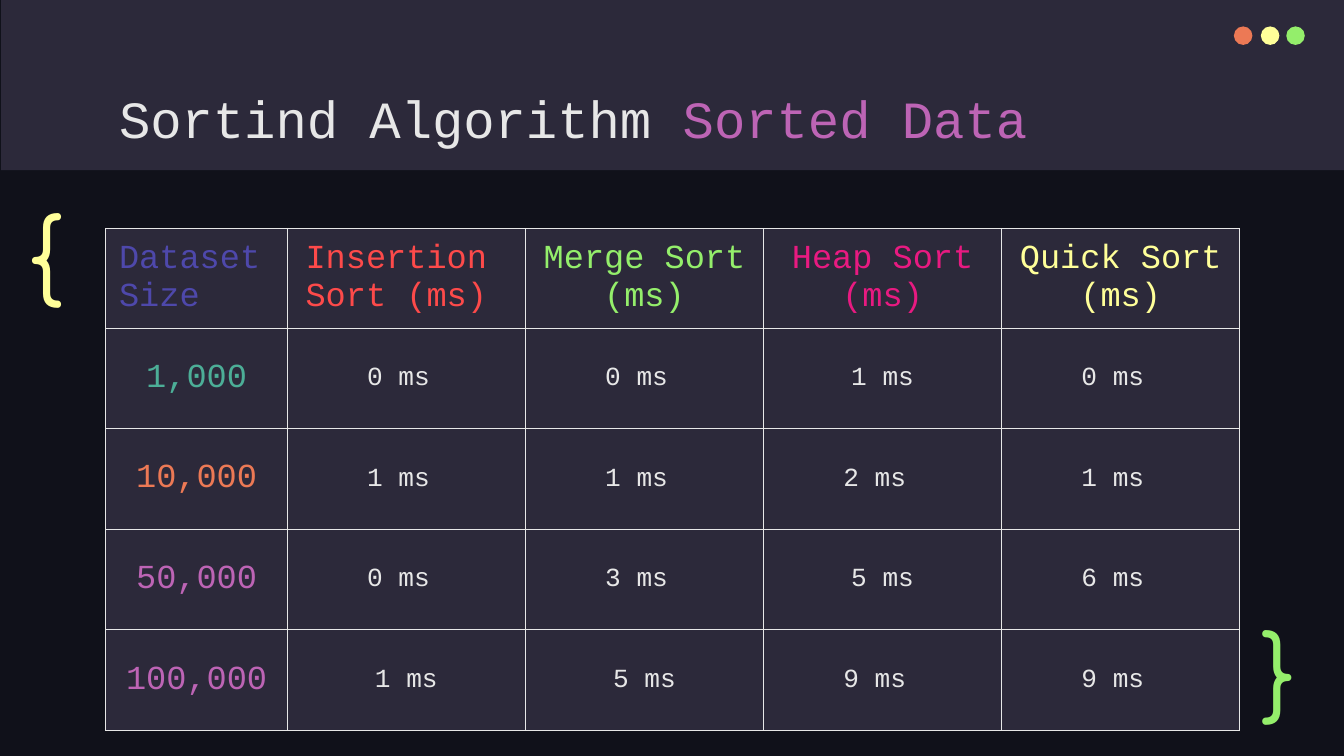
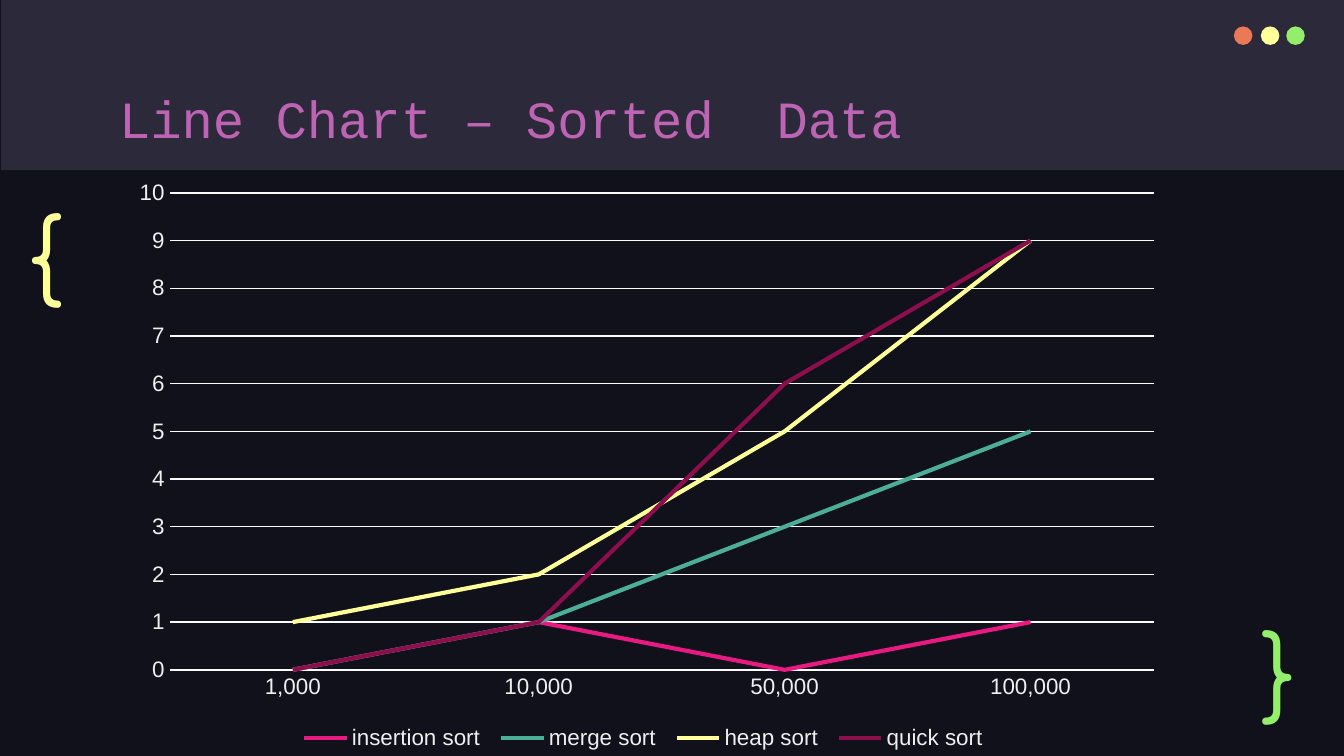
import pptx
import pptx.chart.data
import pptx.dml.color
import pptx.enum.chart
import pptx.enum.shapes
import pptx.enum.text
import pptx.util
from lxml import etree
from pptx.util import Cm, Pt

BACKGROUND, PANEL, LIGHT, AXIS_TEXT, GRID = "10111A", "2C293A", "E7E7E7", "EFEFEF", "FBFBFB"
ORANGE, YELLOW, GREEN, PURPLE = "EC7955", "FFFF99", "94EE6B", "BD64B5"
TEAL, PINK, RED, INDIGO, WINE = "4CAE97", "E81A81", "FD4A4A", "4E48AB", "8D0E4D"
MONO, BRACE_FONT, CHART_FONT = "Courier New", "Comfortaa", "Arial"
ALIGN = pptx.enum.text.PP_ALIGN

DOTS = [(23.32, ORANGE), (23.83, YELLOW), (24.31, GREEN)]
BRACES = [("{", YELLOW, (0.28, 3.4, 1.96, 2.41)), ("}", GREEN, (23.6, 11.28, 1.45, 2.11))]

TABLE_TITLE = [("Sortind Algorithm ", LIGHT), ("Sorted Data", PURPLE)]
HEADERS = [
    (["Dataset", "Size"], INDIGO),
    (["Insertion ", "Sort (ms) "], RED),
    (["Merge Sort ", "(ms)"], GREEN),
    (["Heap Sort", "(ms)"], PINK),
    (["Quick Sort", "(ms)"], YELLOW),
]
TIMINGS = [
    ("1,000", TEAL, ["0 ms ", "0 ms ", "1 ms", "0 ms "]),
    ("10,000", ORANGE, ["1 ms ", "1 ms ", "2 ms ", "1 ms "]),
    ("50,000", PURPLE, ["0 ms ", "3 ms ", "5 ms", "6 ms "]),
    ("100,000", PURPLE, ["1 ms", "5 ms", "9 ms ", "9 ms "]),
]
COLUMN_WIDTHS = [3.43] + [4.5] * 4
ROW_HEIGHTS = [1.83] + [1.9] * 4

CHART_TITLE = [("Line Chart – Sorted  Data", PURPLE)]
SIZES = [1000, 10000, 50000, 100000]
SERIES = [
    ("insertion sort ", PINK, [0, 1, 0, 1]),
    ("merge sort ", TEAL, [0, 1, 3, 5]),
    ("heap sort ", YELLOW, [1, 2, 5, 9]),
    ("quick sort ", WINE, [0, 1, 6, 9]),
]


def rgb(color):
    return pptx.dml.color.RGBColor.from_string(color)


def paint(fill, color):
    fill.solid()
    fill.fore_color.rgb = rgb(color)


def style_font(font, name, size, color):
    font.name, font.size = name, Pt(size)
    font.color.rgb = rgb(color)


def add_block(s, shape_type, box, color):
    sp = s.shapes.add_shape(shape_type, *map(Cm, box))
    sp.shadow.inherit = False
    paint(sp.fill, color)
    sp.line.fill.background()


def add_text(s, box, runs, font, size):
    tf = s.shapes.add_textbox(*map(Cm, box)).text_frame
    tf.word_wrap = True
    tf.margin_left = tf.margin_right = tf.margin_top = tf.margin_bottom = Cm(0.25)
    for text, color in runs:
        r = tf.paragraphs[0].add_run()
        r.text = text
        style_font(r.font, font, size, color)
    return tf


def add_slide(prs, title):
    """Add a slide with the header band, window dots, title and braces."""
    s = prs.slides.add_slide(prs.slide_layouts[6])
    shapes = pptx.enum.shapes.MSO_SHAPE
    paint(s.background.fill, BACKGROUND)
    add_block(s, shapes.RECTANGLE, (0.02, 0, 25.4, 3.22), PANEL)
    for left, color in DOTS:
        add_block(s, shapes.OVAL, (left, 0.5, 0.35, 0.35), color)
    add_text(s, (2, 1.38, 21.42, 1.6), title, MONO, 28)
    for text, color, box in BRACES:
        add_text(s, box, [(text, color)], BRACE_FONT, 50)
    return s


def add_borders(cell):
    props = cell._tc.get_or_add_tcPr()
    for position, side in enumerate(("lnL", "lnR", "lnT", "lnB")):
        line = etree.Element(pptx.oxml.ns.qn(f"a:{side}"), w=str(Pt(0.75)))
        fill = etree.SubElement(line, pptx.oxml.ns.qn("a:solidFill"))
        etree.SubElement(fill, pptx.oxml.ns.qn("a:srgbClr"), val=LIGHT)
        props.insert(position, line)


def fill_cell(cell, lines, size, color, align=ALIGN.CENTER):
    paint(cell.fill, PANEL)
    add_borders(cell)
    cell.vertical_anchor = pptx.enum.text.MSO_ANCHOR.MIDDLE
    cell.margin_left = cell.margin_right = Cm(0.25)
    cell.margin_top = cell.margin_bottom = Cm(0.18)
    cell.text = "\n".join(lines)
    for p in cell.text_frame.paragraphs:
        p.alignment = align
        style_font(p.font, MONO, size, color)


def add_timing_table(s):
    table = s.shapes.add_table(
        len(ROW_HEIGHTS), len(COLUMN_WIDTHS), Cm(2), Cm(4.32),
        Cm(sum(COLUMN_WIDTHS)), Cm(sum(ROW_HEIGHTS))).table
    for column, width in zip(table.columns, COLUMN_WIDTHS):
        column.width = Cm(width)
    for row, height in zip(table.rows, ROW_HEIGHTS):
        row.height = Cm(height)
    for c, (lines, color) in enumerate(HEADERS):
        fill_cell(table.cell(0, c), lines, 18, color, ALIGN.CENTER if c else ALIGN.LEFT)
    for r, (size, color, times) in enumerate(TIMINGS, 1):
        fill_cell(table.cell(r, 0), [size], 18, color)
        for c, time in enumerate(times, 1):
            fill_cell(table.cell(r, c), [time], 14, LIGHT)


def add_timing_chart(s):
    kinds = pptx.enum.chart
    data = pptx.chart.data.CategoryChartData()
    data.categories = SIZES
    data.categories.number_format = "#,##0"
    for name, _, values in SERIES:
        data.add_series(name, values)
    chart = s.shapes.add_chart(
        kinds.XL_CHART_TYPE.LINE, Cm(2.24), Cm(3.2), Cm(19.96), Cm(11.07), data).chart
    style_font(chart.font, CHART_FONT, 10, LIGHT)
    chart.has_title = False
    chart.has_legend = True
    chart.legend.position = kinds.XL_LEGEND_POSITION.BOTTOM
    chart.legend.include_in_layout = False
    style_font(chart.legend.font, CHART_FONT, 12, AXIS_TEXT)

    for axis in (chart.category_axis, chart.value_axis):
        axis.major_tick_mark = axis.minor_tick_mark = kinds.XL_TICK_MARK.NONE
        axis.tick_labels.number_format = "#,##0"
        axis.tick_labels.number_format_is_linked = False
        style_font(axis.tick_labels.font, CHART_FONT, 12, AXIS_TEXT)
    chart.value_axis.format.line.fill.background()
    for line in (chart.category_axis.format.line, chart.value_axis.major_gridlines.format.line):
        line.width = Pt(0.75)
        paint(line.fill, GRID)

    chart.plots[0].vary_by_categories = False
    for series, (_, color, _) in zip(chart.plots[0].series, SERIES):
        series.smooth = False
        series.marker.style = kinds.XL_MARKER_STYLE.NONE
        series.format.line.width = Pt(2.25)
        paint(series.format.line.fill, color)


def main():
    prs = pptx.Presentation()
    prs.slide_width, prs.slide_height = Cm(25.4), Cm(14.29)
    add_timing_table(add_slide(prs, TABLE_TITLE))
    add_timing_chart(add_slide(prs, CHART_TITLE))
    prs.save("out.pptx")


if __name__ == "__main__":
    main()
